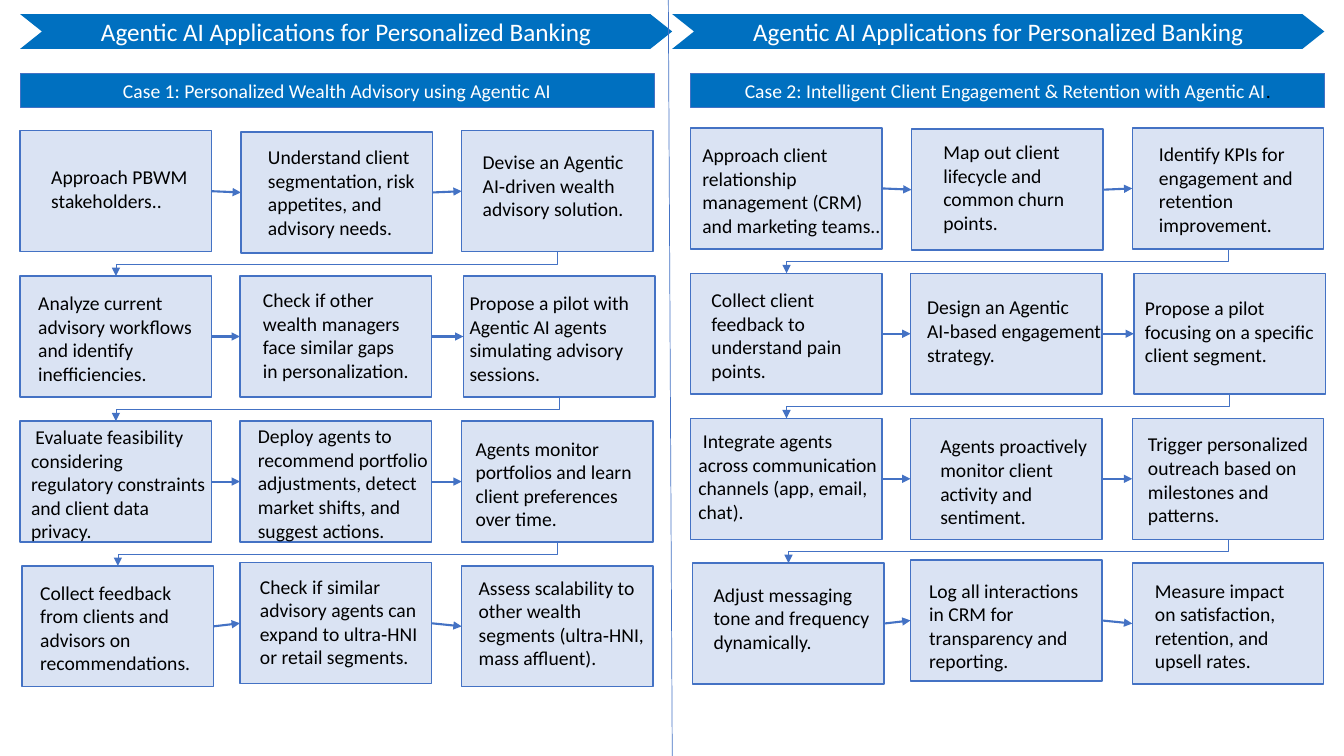
from lxml import etree
from pptx import Presentation
from pptx.dml import color
from pptx.enum import shapes, text
from pptx.oxml import ns
from pptx.util import Pt

BLUE, BORDER, PALE = "0070C0", "4472C4", "DAE3F3"
BLACK, WHITE = "000000", "FFFFFF"
CARD_WIDTH, CARD_HEIGHT = 136.8, 86.4
BANNER = "Agentic AI Applications for Personalized Banking"

CARD_PLACES = [
    [(14.4, 93.4), (172.1, 94.3), (329.8, 93.4)],
    [(14.4, 197.2), (171.4, 197.2), (331.0, 197.2)],
    [(14.4, 300.8), (171.4, 300.8), (329.8, 300.8)],
    [(15.8, 404.2), (171.4, 402), (329.8, 404.2)],
]

CASE_1 = [
    (29.5, 114.5, 128.2, "Approach PBWM stakeholders.."),
    (184.3, 100.1, 123.1, "Understand client segmentation, risk appetites, and advisory needs."),
    (337.7, 103.7, 123.1, "Devise an Agentic AI‑driven wealth advisory solution."),
    (20.2, 204.5, 133.2, "Analyze current advisory workflows and identify inefficiencies."),
    (180.7, 202.3, 121, "Check if other wealth managers face similar gaps in personalization."),
    (328.3, 204.5, 162, "Propose a pilot with Agentic AI agents simulating advisory sessions."),
    (15.1, 300.2, 139, " Evaluate feasibility considering regulatory constraints and client data privacy."),
    (177.1, 299.5, 146.9, "Deploy agents to recommend portfolio adjustments, "
                          "detect market shifts, and suggest actions."),
    (332.6, 308.2, 146.9, "Agents monitor portfolios and learn client preferences\nover time."),
    (21.6, 411.1, 124.6, "Collect feedback from clients and advisors on recommendations."),
    (178.6, 406.8, 132.5, "Check if similar advisory agents can expand to ultra‑HNI or retail segments."),
    (334.8, 407.5, 133.9, "Assess scalability to other wealth segments (ultra‑HNI, mass affluent)."),
]

CASE_2 = [
    (494.6, 98.6, 143.3, "Approach client relationship management (CRM) and marketing teams.."),
    (666.7, 96.5, 113.8, "Map out client lifecycle and common churn points."),
    (820.8, 97.9, 110.2, "Identify KPIs for engagement and retention improvement."),
    (501.1, 202.3, 133.2, "Collect client feedback to understand pain points."),
    (655.2, 207.4, 148.3, "Design an Agentic AI‑based engagement strategy."),
    (810.7, 208.1, 136.1, "Propose a pilot focusing on a specific client segment."),
    (491.8, 303.1, 141.8, " Integrate agents across communication channels (app, email, chat)."),
    (664.6, 306.7, 126.7, "Agents proactively monitor client activity and sentiment."),
    (812.9, 305.3, 136.8, "Trigger personalized outreach based on milestones and patterns."),
    (502.6, 412.6, 139, "Adjust messaging tone and frequency dynamically."),
    (656.6, 409.7, 121.7, "Log all interactions in CRM for transparency and reporting."),
    (817.9, 409.7, 121.7, "Measure impact on satisfaction, retention, and upsell rates."),
]


def rgb(value):
    """Turn a hex string into a colour."""
    return color.RGBColor.from_string(value)


def add_run(paragraph, words, size=14, fill=BLACK):
    """Add one formatted run to a paragraph."""
    run = paragraph.add_run()
    run.text = words
    run.font.name, run.font.size = "Calibri", Pt(size)
    run.font.color.rgb = rgb(fill)


def write(shape, words, align="LEFT", anchor="TOP", margin=None, **font):
    """Fill a shape with text, one paragraph for each line."""
    frame = shape.text_frame
    frame.word_wrap = True
    frame.vertical_anchor = text.MSO_ANCHOR[anchor]
    if margin is not None:
        frame.margin_left = frame.margin_right = Pt(margin)
        frame.margin_top = frame.margin_bottom = Pt(margin)
    for index, line in enumerate(words.split("\n")):
        paragraph = frame.add_paragraph() if index else frame.paragraphs[0]
        paragraph.alignment = text.PP_ALIGN[align]
        add_run(paragraph, line, **font)


def paint(shape, fill, line_width=None):
    """Set the fill and outline of a shape and drop its shadow."""
    shape.shadow.inherit = False
    shape.fill.solid()
    shape.fill.fore_color.rgb = rgb(fill)
    if line_width is None:
        shape.line.fill.background()
    else:
        shape.line.color.rgb = rgb(BORDER)
        shape.line.width = Pt(line_width)


def add_banner(slide, left):
    """Draw the notched arrow heading of one half."""
    top, width, height, notch = 10.1, 465.8, 24.8, 15.6
    right, bottom, middle = left + width, top + height, top + height / 2
    outline = [(left, top), (left + notch, middle), (left, bottom),
               (right - notch, bottom), (right, middle)]
    builder = slide.shapes.build_freeform(Pt(right - notch), Pt(top))
    builder.add_line_segments([(Pt(x), Pt(y)) for x, y in outline])
    banner = builder.convert_to_shape()
    paint(banner, BLUE)
    write(banner, BANNER, align="CENTER", anchor="MIDDLE", margin=0, size=18, fill=WHITE)


def add_rectangle(slide, left, top, width, height, fill, line_width):
    """Draw an outlined rectangle."""
    rectangle = slide.shapes.add_shape(
        shapes.MSO_SHAPE.RECTANGLE, Pt(left), Pt(top), Pt(width), Pt(height))
    paint(rectangle, fill, line_width)
    return rectangle


def add_line(slide, kind, start, end, width, arrow=True):
    """Draw a connector between two points given in EMU."""
    line = slide.shapes.add_connector(shapes.MSO_CONNECTOR[kind], *start, *end)
    line.line.color.rgb = rgb(BORDER)
    line.line.width = Pt(width)
    if arrow:
        etree.SubElement(line.line._get_or_add_ln(), ns.qn("a:tailEnd"), type="triangle")
    etree.SubElement(line._element.spPr, ns.qn("a:effectLst"))
    return line


def join_across(slide, card, following):
    """Join a card to the next one in its row."""
    arrow = add_line(slide, "STRAIGHT", (0, 0), (0, 0), 1.5)
    arrow.begin_connect(card, 3)
    arrow.end_connect(following, 1)


def join_down(slide, last, first):
    """Lead from the bottom of a row's last card to the top of the next row."""
    start_x, start_y = last.left + last.width // 2, last.top + last.height
    end_x, end_y = first.left + first.width // 2, first.top
    drop, run = end_y - start_y, start_x - end_x
    left = (start_x + end_x - drop) // 2
    top = (start_y + end_y - run) // 2
    elbow = add_line(slide, "ELBOW", (left, top), (left + drop, top + run), 0.5)
    elbow._element.spPr.find(ns.qn("a:xfrm")).set("rot", "5400000")


def add_case(slide, shift_x, shift_y, title, steps):
    """Draw one case: its title bar, cards, arrows and step texts."""
    bar = add_rectangle(slide, 14.4 + shift_x, 52.5, 452.9, 24.3, BLUE, 0.75)
    write(bar, title, align="CENTER", anchor="MIDDLE", fill=WHITE)
    rows = [[add_rectangle(slide, x + shift_x, y + shift_y, CARD_WIDTH, CARD_HEIGHT, PALE, 1)
             for x, y in places] for places in CARD_PLACES]
    for row in rows:
        for card, following in zip(row, row[1:]):
            join_across(slide, card, following)
    for row, next_row in zip(rows, rows[1:]):
        join_down(slide, row[-1], next_row[0])
    for left, top, width, words in steps:
        lines = 2 if words.startswith("Approach PBWM") else 4
        box = slide.shapes.add_textbox(Pt(left), Pt(top), Pt(width), Pt(7.2 + 17 * lines))
        write(box, words)
    return bar


def main():
    """Build and save the slide."""
    presentation = Presentation()
    presentation.slide_width, presentation.slide_height = Pt(960), Pt(540)
    slide = presentation.slides.add_slide(presentation.slide_layouts[6])
    for left in (14.4, 480.2):
        add_banner(slide, left)
    add_line(slide, "STRAIGHT", (Pt(480.2), Pt(540)), (Pt(477.4), 0), 0.5, arrow=False)
    add_case(slide, 0, 0, "Case 1: Personalized Wealth Advisory using Agentic AI", CASE_1)
    bar = add_case(slide, 479, -2,
                   "Case 2: Intelligent Client Engagement & Retention with Agentic AI", CASE_2)
    add_run(bar.text_frame.paragraphs[0], ".")
    presentation.save("out.pptx")


if __name__ == "__main__":
    main()
